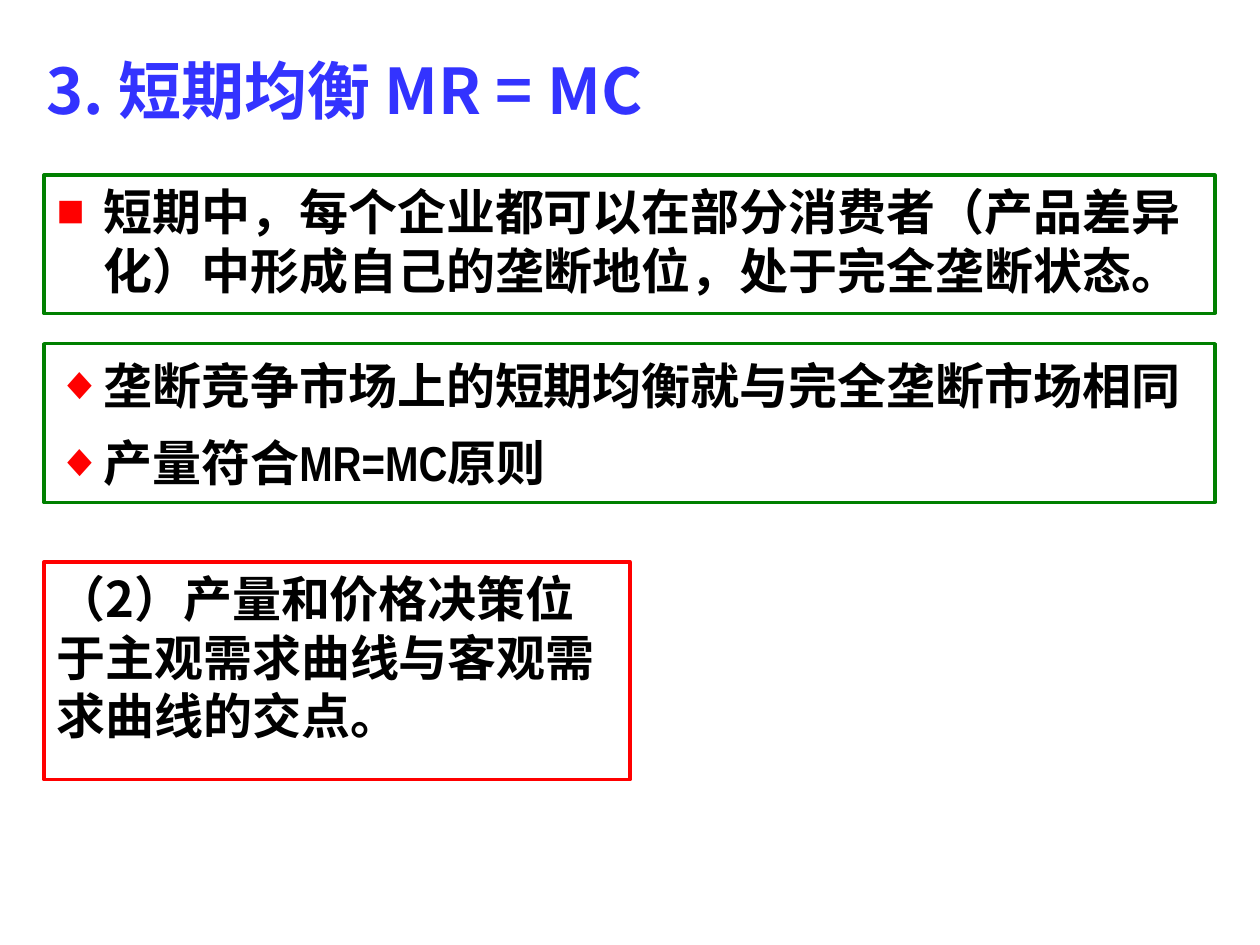
from lxml import etree
from pptx import Presentation
from pptx import util as u
from pptx.dml.color import RGBColor
from pptx.enum import shapes, text
from pptx.oxml import ns

BLUE = RGBColor(0x33, 0x33, 0xFF)
GREEN = RGBColor(0x00, 0x80, 0x00)
RED = RGBColor(0xFF, 0x00, 0x00)
BLACK = RGBColor(0x00, 0x00, 0x00)
WHITE = RGBColor(0xFF, 0xFF, 0xFF)

CJK_FONT = "Noto Sans CJK SC"
LEFT = 0.89
FULL_WIDTH = 23.6


def add_bullet(paragraph, mark):
    """Give the paragraph a hanging red bullet."""
    properties = paragraph._p.get_or_add_pPr()
    indent = u.Cm(0.95)
    properties.set("marL", str(indent))
    properties.set("indent", str(-indent))
    color = etree.SubElement(properties, ns.qn("a:buClr"))
    etree.SubElement(color, ns.qn("a:srgbClr"), val=str(RED))
    etree.SubElement(properties, ns.qn("a:buSzPct"), val="95000")
    etree.SubElement(properties, ns.qn("a:buFont"), typeface="Arial")
    etree.SubElement(properties, ns.qn("a:buChar"), char=mark)


def style_paragraph(paragraph, size, color, font_name):
    paragraph.alignment = text.PP_ALIGN.LEFT
    font = paragraph.font
    font.size = u.Pt(size)
    font.bold = True
    font.color.rgb = color
    font.name = font_name


def add_title(slide, content):
    title = slide.shapes.add_textbox(u.Cm(0.69), u.Cm(0.91), u.Cm(23.72), u.Cm(1.78))
    frame = title.text_frame
    frame.word_wrap = True
    frame.vertical_anchor = text.MSO_ANCHOR.MIDDLE
    frame.text = content
    style_paragraph(frame.paragraphs[0], 36, BLUE, CJK_FONT)


def add_panel(slide, top, width, height, outline, paragraphs,
              mark=None, font_name="Arial", line_spacing=None):
    """Add an outlined box; each paragraph is a list of (text, font) runs."""
    panel = slide.shapes.add_shape(shapes.MSO_SHAPE.RECTANGLE, u.Cm(LEFT),
                                   u.Cm(top), u.Cm(width), u.Cm(height))
    panel.shadow.inherit = False
    panel.fill.solid()
    panel.fill.fore_color.rgb = WHITE
    panel.line.color.rgb = outline
    panel.line.width = u.Pt(2)

    frame = panel.text_frame
    frame.word_wrap = True
    frame.vertical_anchor = text.MSO_ANCHOR.TOP
    for index, runs in enumerate(paragraphs):
        paragraph = frame.add_paragraph() if index else frame.paragraphs[0]
        if mark:
            add_bullet(paragraph, mark)
        if index:
            paragraph.space_before = u.Pt(7)
        if line_spacing:
            paragraph.line_spacing = line_spacing
        style_paragraph(paragraph, 28, BLACK, font_name)
        for content, run_font in runs:
            run = paragraph.add_run()
            run.text = content
            if run_font:
                run.font.name = run_font


def main():
    presentation = Presentation()
    presentation.slide_width = u.Cm(25.4)
    presentation.slide_height = u.Cm(19.05)
    slide = presentation.slides.add_slide(presentation.slide_layouts[6])

    add_title(slide, "3. 短期均衡 MR = MC")

    # Short-run monopoly position
    add_panel(slide, 3.53, FULL_WIDTH, 2.79, GREEN,
              [[("短期中，每个企业都可以在部分消费者（产品差异化）中形成自己的垄断地位，"
                 "处于完全垄断状态。", None)]], mark="■")

    # Equilibrium conditions
    add_panel(slide, 6.93, FULL_WIDTH, 3.2, GREEN,
              [[("垄断竞争市场上的短期均衡就与完全垄断市场相同", None)],
               [("产量符合", CJK_FONT), ("MR=MC", "Arial Narrow"), ("原则", CJK_FONT)]],
              mark="◆", line_spacing=1.1)

    # Output and price decision
    add_panel(slide, 11.33, 11.81, 4.39, RED,
              [[("（2）产量和价格决策位于主观需求曲线与客观需求曲线的交点。", None)]],
              font_name=CJK_FONT)

    presentation.save("out.pptx")


if __name__ == "__main__":
    main()
